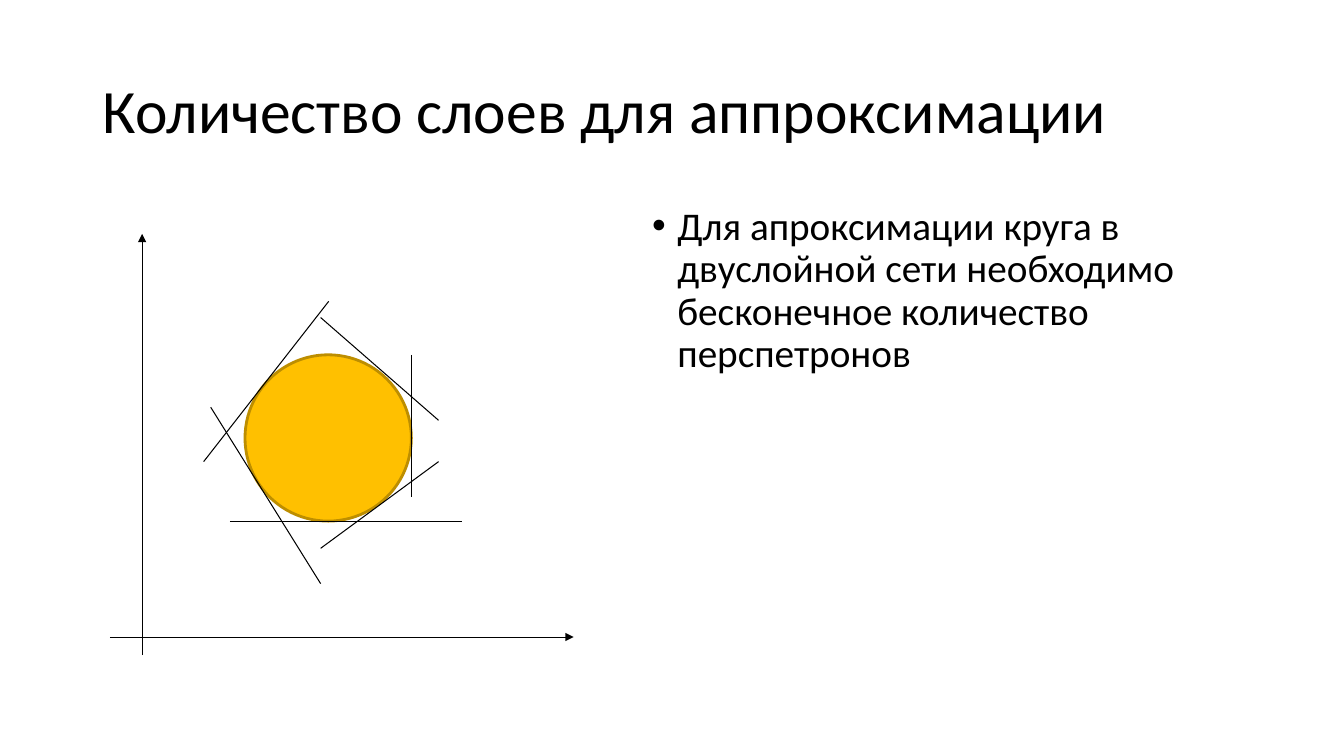
from pptx import Presentation
from pptx.util import Inches, Pt
from pptx.dml.color import RGBColor
from pptx.enum.shapes import MSO_CONNECTOR as CONN, MSO_SHAPE as SHAPE
from pptx.enum.text import MSO_ANCHOR as ANCHOR
from pptx.oxml.ns import qn
from lxml.etree import SubElement

BLACK = RGBColor(0x00, 0x00, 0x00)
GOLD = RGBColor(0xFF, 0xC0, 0x00)
DARK_GOLD = RGBColor(0xBD, 0x8E, 0x00)

prs = Presentation()
prs.slide_width, prs.slide_height = Inches(13.33), Inches(7.5)
s = prs.slides.add_slide(prs.slide_layouts[6])


def add_text(text, left, top, width, height, size, anchor=ANCHOR.TOP,
             before=0, bullet=False):
    sp = s.shapes.add_textbox(Inches(left), Inches(top), Inches(width), Inches(height))
    tf = sp.text_frame
    tf.word_wrap = True
    tf.vertical_anchor = anchor
    p = tf.paragraphs[0]
    p.line_spacing = 0.9
    p.space_before = Pt(before)
    r = p.add_run()
    r.text = text
    r.font.name, r.font.size, r.font.color.rgb = "Calibri", Pt(size), BLACK
    if bullet:
        pPr = p._p.get_or_add_pPr()
        pPr.set("marL", str(Inches(0.25)))
        pPr.set("indent", str(Inches(-0.25)))
        SubElement(pPr, qn("a:buFont"), typeface="Arial")
        SubElement(pPr, qn("a:buChar"), char="•")


def add_line(x1, y1, x2, y2, arrow=False):
    line = s.shapes.add_connector(CONN.STRAIGHT, Inches(x1), Inches(y1),
                                  Inches(x2), Inches(y2))
    line.line.color.rgb = BLACK
    line.line.width = Pt(0.75)
    if arrow:
        SubElement(line.line._get_or_add_ln(), qn("a:tailEnd"), type="triangle")
    SubElement(line._element.spPr, qn("a:effectLst"))


# Title and statement
add_text("Количество слоев для аппроксимации", 0.92, 0.4, 11.5, 1.45, 44,
         anchor=ANCHOR.MIDDLE)
add_text("Для апроксимации круга в двуслойной сети необходимо "
         "бесконечное количество перспетронов",
         6.37, 2, 6.05, 4.76, 28, before=10, bullet=True)

# Axes
add_line(1.41, 6.5, 1.41, 2.32, arrow=True)
add_line(1.09, 6.32, 5.69, 6.32, arrow=True)

# Circle to approximate
circle = s.shapes.add_shape(SHAPE.OVAL, Inches(2.43), Inches(3.52),
                            Inches(1.65), Inches(1.65))
circle.shadow.inherit = False
circle.fill.solid()
circle.fill.fore_color.rgb = GOLD
circle.line.color.rgb = DARK_GOLD
circle.line.width = Pt(2)

# Tangents around the circle
tangents = [
    (3.18, 3.15, 4.35, 4.17),
    (4.08, 3.52, 4.08, 4.93),
    (4.35, 4.58, 3.18, 5.44),
    (2.28, 5.17, 4.58, 5.17),
    (2.09, 4.04, 3.18, 5.79),
    (2.02, 4.58, 3.26, 2.99),
]
for ends in tangents:
    add_line(*ends)

prs.save("out.pptx")
